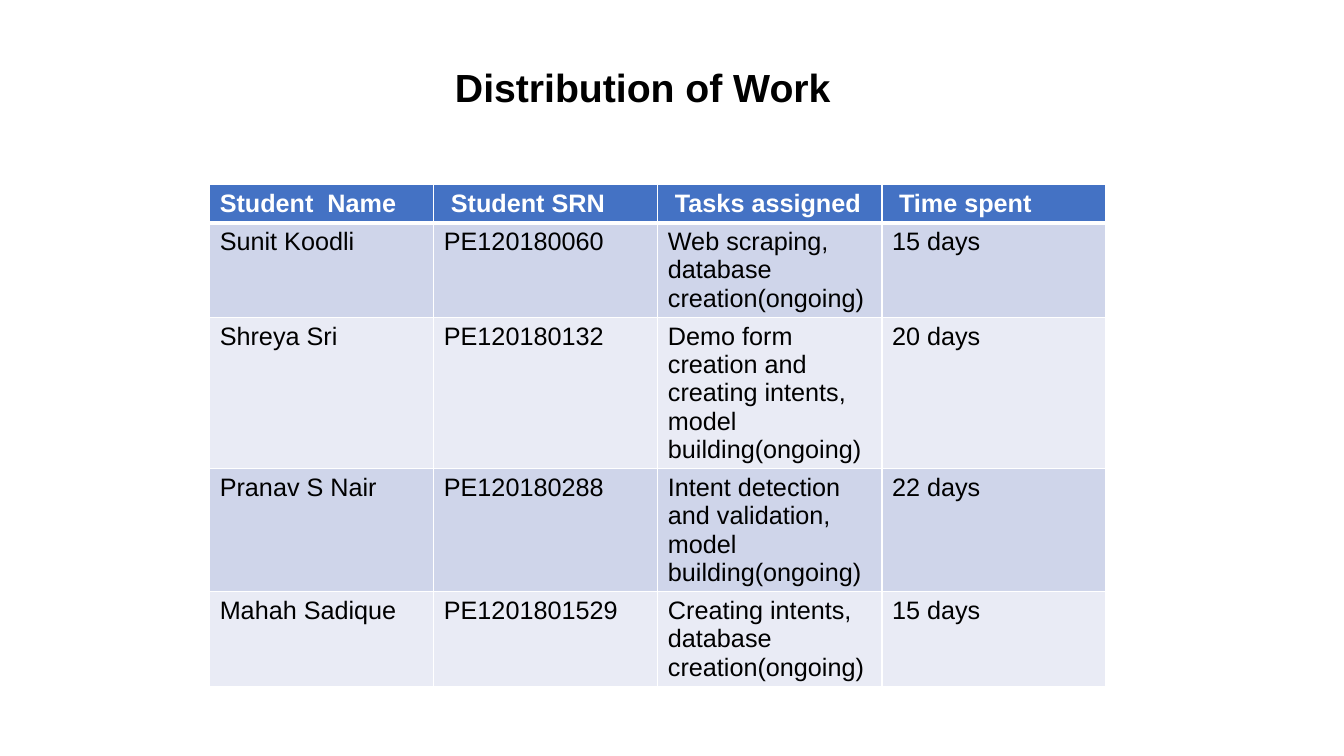
from lxml.etree import SubElement
from pptx import Presentation
from pptx.dml.color import RGBColor
from pptx.enum.text import MSO_AUTO_SIZE as AutoSize, PP_ALIGN as Align
from pptx.oxml.ns import qn
from pptx.util import Inches, Pt

BLACK = RGBColor(0x00, 0x00, 0x00)
WHITE = RGBColor(0xFF, 0xFF, 0xFF)
HEADER_BLUE = RGBColor(0x44, 0x72, 0xC4)
BANDS = (RGBColor(0xCF, 0xD5, 0xEA), RGBColor(0xE9, 0xEB, 0xF5))

HEADINGS = ("Student  Name", " Student SRN", " Tasks assigned", " Time spent")
ASSIGNMENTS = (
    ("Sunit Koodli", "PE120180060",
     "Web scraping, database creation(ongoing)", "15 days"),
    ("Shreya Sri", "PE120180132",
     "Demo form creation and creating intents, model building(ongoing)", "20 days"),
    ("Pranav S Nair", "PE120180288",
     "Intent detection and validation, model building(ongoing)", "22 days"),
    ("Mahah Sadique", "PE1201801529",
     "Creating intents, database creation(ongoing)", "15 days"),
)
ROW_HEIGHTS = (0.38, 0.93, 1.5, 1.22, 0.93)


def write(frame, text, size=18, color=BLACK, bold=False, align=Align.LEFT):
    paragraph = frame.paragraphs[0]
    paragraph.alignment = align
    run = paragraph.add_run()
    run.text = text
    run.font.name = "Arial"
    run.font.size = Pt(size)
    run.font.bold = bold
    run.font.color.rgb = color


def set_borders(cell, bottom):
    properties = cell._tc.get_or_add_tcPr()
    for side, width in (("L", 1), ("R", 1), ("T", 1), ("B", bottom)):
        line = SubElement(properties, qn(f"a:ln{side}"), w=str(Pt(width)))
        fill = SubElement(line, qn("a:solidFill"))
        SubElement(fill, qn("a:srgbClr"), val=str(WHITE))


def add_title(slide, left, top, width, height):
    title = slide.shapes.add_textbox(
        Inches(left), Inches(top), Inches(width), Inches(height))
    frame = title.text_frame
    frame.word_wrap = True
    frame.auto_size = AutoSize.SHAPE_TO_FIT_TEXT
    write(frame, "Distribution of Work", size=28, bold=True, align=Align.CENTER)


def add_work_table(slide, left, top, width, height):
    entries = (HEADINGS,) + ASSIGNMENTS
    work = slide.shapes.add_table(
        len(entries), len(HEADINGS),
        Inches(left), Inches(top), Inches(width), Inches(height)).table
    for row, row_height in zip(work.rows, ROW_HEIGHTS):
        row.height = Inches(row_height)
    for row_index, entry in enumerate(entries):
        heading = row_index == 0
        for column_index, text in enumerate(entry):
            cell = work.cell(row_index, column_index)
            set_borders(cell, bottom=3 if heading else 1)
            cell.fill.solid()
            cell.fill.fore_color.rgb = (
                HEADER_BLUE if heading else BANDS[(row_index - 1) % 2])
            write(cell.text_frame, text,
                  color=WHITE if heading else BLACK, bold=heading)


def main():
    deck = Presentation()
    deck.slide_width = Inches(13.33)
    deck.slide_height = Inches(7.5)
    slide = deck.slides.add_slide(deck.slide_layouts[6])
    add_work_table(slide, 2.08, 1.83, 8.89, sum(ROW_HEIGHTS))
    add_title(slide, 2.5, 0.58, 7.75, 0.57)
    deck.save("out.pptx")


if __name__ == "__main__":
    main()
